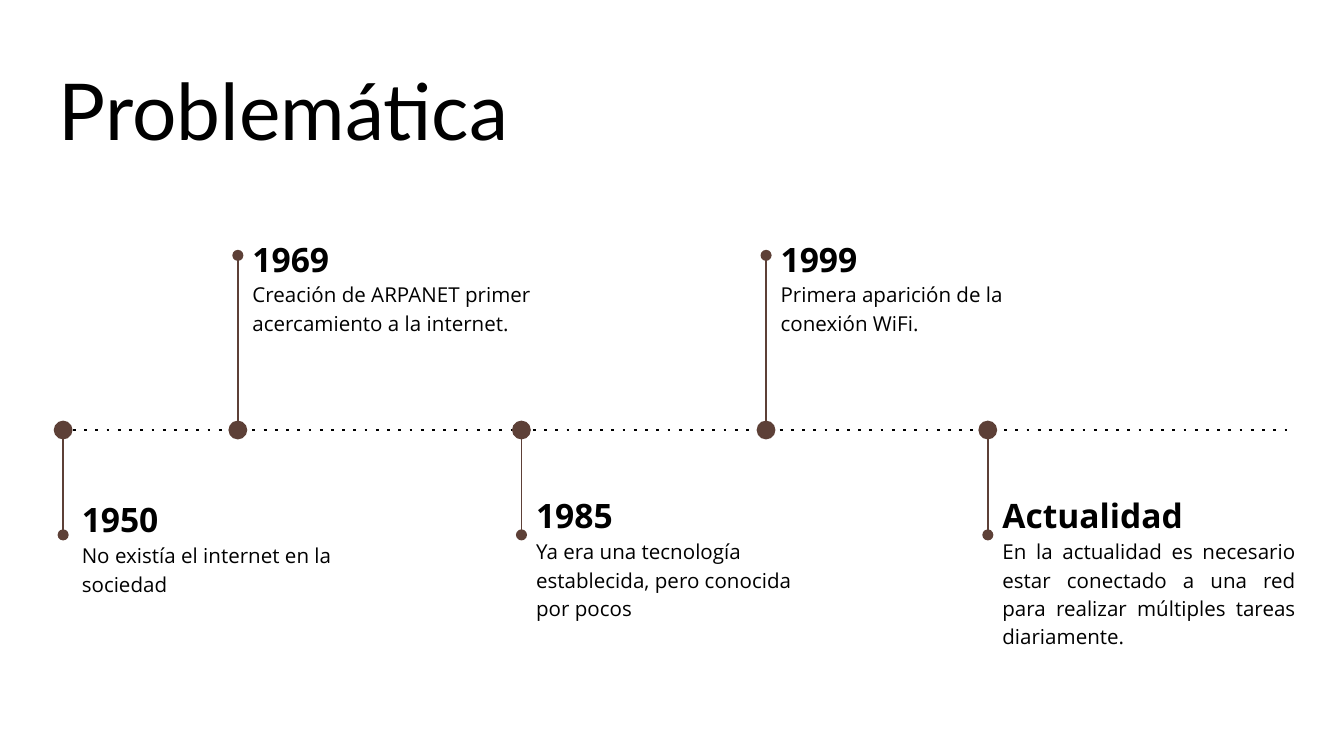
from dataclasses import dataclass

from lxml.etree import SubElement
from pptx import Presentation
from pptx.dml.color import RGBColor
from pptx.enum.shapes import MSO_CONNECTOR as Connector, MSO_SHAPE as Shape
from pptx.enum.text import MSO_ANCHOR as Anchor, PP_ALIGN as Align
from pptx.oxml.ns import qn
from pptx.slide import Slide
from pptx.util import Inches, Pt


@dataclass(frozen=True)
class Theme:
    ink: RGBColor = RGBColor(0x00, 0x00, 0x00)
    accent: RGBColor = RGBColor(0x5D, 0x40, 0x37)
    title_font: str = "Lato"
    body_font: str = "Open Sans"
    title_size: int = 42
    date_size: int = 18
    detail_size: int = 11
    axis_width: float = 1.5
    stem_width: float = 0.75
    line_spacing: float = 1.15


@dataclass(frozen=True)
class Box:
    left: float
    top: float
    width: float
    height: float


@dataclass(frozen=True)
class Event:
    date: str
    detail: str
    x: float
    above: bool
    text_top: float
    text_height: float = 1.32
    text_gap: float = 0.01
    align: Align = Align.LEFT


THEME = Theme()
SLIDE_WIDTH = 10
SLIDE_HEIGHT = SLIDE_WIDTH * 9 / 16
AXIS_Y = 3.2
DOT = 0.14
STEM_TOP = 1.9
STEM_BOTTOM = 3.98
TEXT_WIDTH = 2.38

EVENTS = (
    Event("1950", "No existía el internet en la sociedad", 0.47, False, 3.57,
          text_gap=0.04),
    Event("1969", "Creación de ARPANET primer acercamiento a la internet.",
          1.77, True, 1.63, 1.2),
    Event("1985", "Ya era una tecnología establecida, pero conocida por pocos",
          3.88, False, 3.54),
    Event("1999", "Primera aparición de la conexión WiFi.", 5.7, True, 1.63, 1.2),
    Event("Actualidad",
          "En la actualidad es necesario estar conectado a una red "
          "para realizar múltiples tareas diariamente.",
          7.35, False, 3.54, 1.7, align=Align.JUSTIFY),
)


def apply_format(target: object, values: dict) -> None:
    for name, value in values.items():
        setattr(target, name, value)


def add_frame(slide: Slide, box: Box, anchor: Anchor):
    frame = slide.shapes.add_textbox(
        Inches(box.left), Inches(box.top), Inches(box.width), Inches(box.height)
    ).text_frame
    margins = {f"margin_{side}": Inches(0.1)
               for side in ("left", "top", "right", "bottom")}
    apply_format(frame, {"word_wrap": True, "vertical_anchor": anchor, **margins})
    return frame


def write(paragraph, text: str, font: str, size: float, bold: bool = False,
          **layout) -> None:
    apply_format(paragraph, layout)
    run = paragraph.add_run()
    run.text = text
    apply_format(run.font, {"name": font, "size": Pt(size), "bold": bold})
    run.font.color.rgb = THEME.ink


def draw_line(slide: Slide, start: tuple[float, float], end: tuple[float, float],
              color: RGBColor, width: float, detail: str, value: str) -> None:
    line = slide.shapes.add_connector(
        Connector.STRAIGHT, *(Inches(length) for length in (*start, *end)))
    line.line.color.rgb = color
    line.line.width = Pt(width)
    stroke = line._element.spPr.find(qn("a:ln"))
    attribute = "val" if detail == "a:prstDash" else "type"
    SubElement(stroke, qn(detail)).set(attribute, value)
    SubElement(line._element.spPr, qn("a:effectLst"))


def draw_event(slide: Slide, event: Event) -> None:
    dot = slide.shapes.add_shape(
        Shape.OVAL, Inches(event.x - DOT / 2), Inches(AXIS_Y - DOT / 2),
        Inches(DOT), Inches(DOT))
    dot.shadow.inherit = False
    dot.fill.solid()
    dot.fill.fore_color.rgb = THEME.accent
    dot.line.fill.background()

    stem_start = AXIS_Y - DOT / 2 if event.above else AXIS_Y + DOT / 2
    stem_end = STEM_TOP if event.above else STEM_BOTTOM
    draw_line(slide, (event.x, stem_start), (event.x, stem_end),
              THEME.accent, THEME.stem_width, "a:tailEnd", "oval")

    label = add_frame(slide, Box(event.x + event.text_gap, event.text_top,
                                 TEXT_WIDTH, event.text_height), Anchor.TOP)
    write(label.paragraphs[0], event.date, THEME.body_font, THEME.date_size, True,
          line_spacing=THEME.line_spacing)
    write(label.add_paragraph(), event.detail, THEME.body_font, THEME.detail_size,
          line_spacing=THEME.line_spacing, alignment=event.align)


def main() -> None:
    deck = Presentation()
    apply_format(deck, {"slide_width": Inches(SLIDE_WIDTH),
                        "slide_height": Inches(SLIDE_HEIGHT)})
    slide = deck.slides.add_slide(deck.slide_layouts[6])

    draw_line(slide, (0.46, AXIS_Y), (9.58, AXIS_Y), THEME.ink,
              THEME.axis_width, "a:prstDash", "dot")
    title = add_frame(slide, Box(0.34, 0.35, 9.32, 0.91), Anchor.BOTTOM)
    write(title.paragraphs[0], "Problemática", THEME.title_font, THEME.title_size)
    for event in EVENTS:
        draw_event(slide, event)

    deck.save("out.pptx")


if __name__ == "__main__":
    main()
